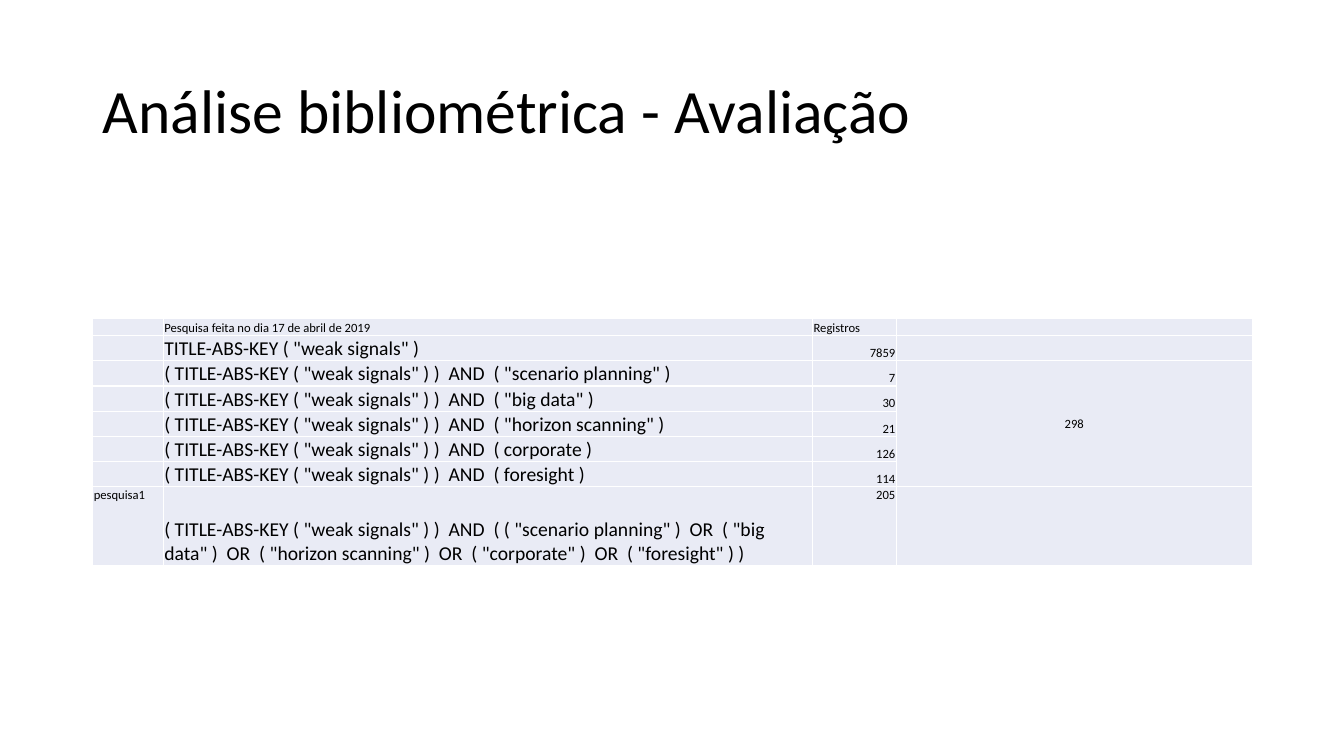
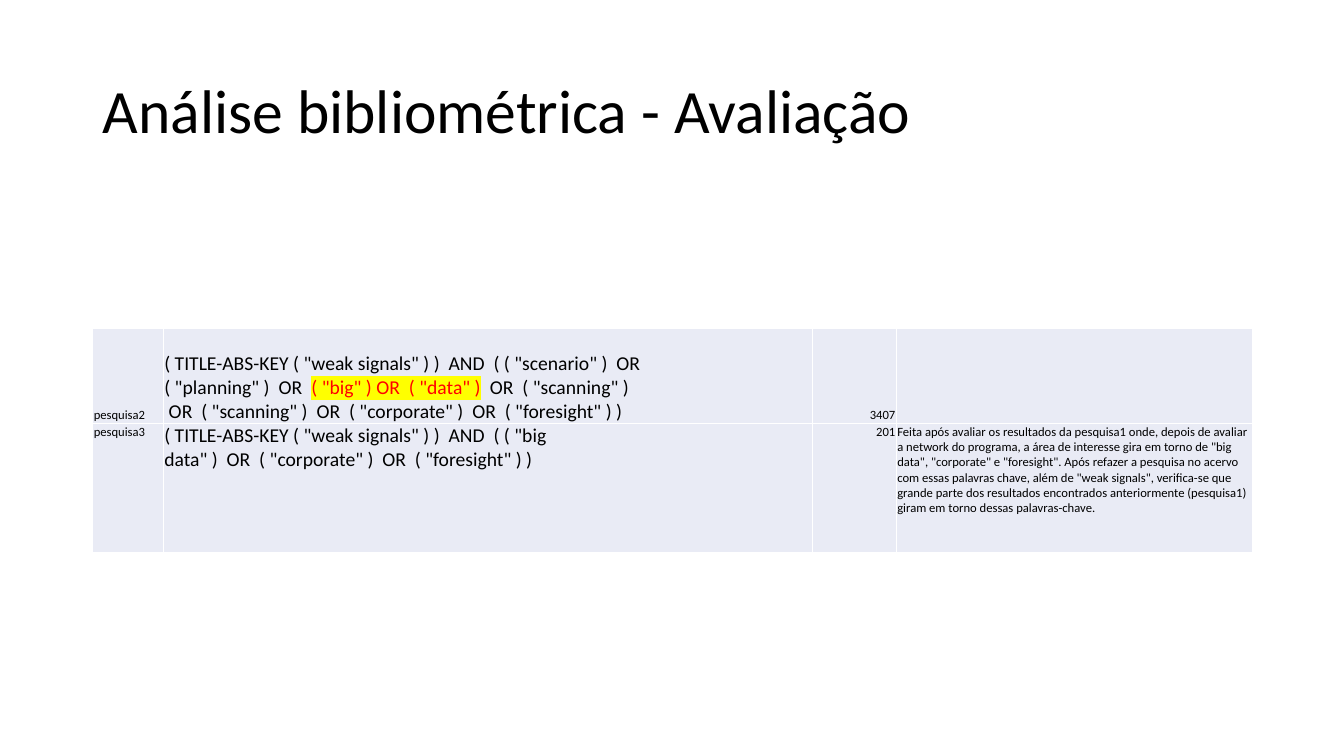
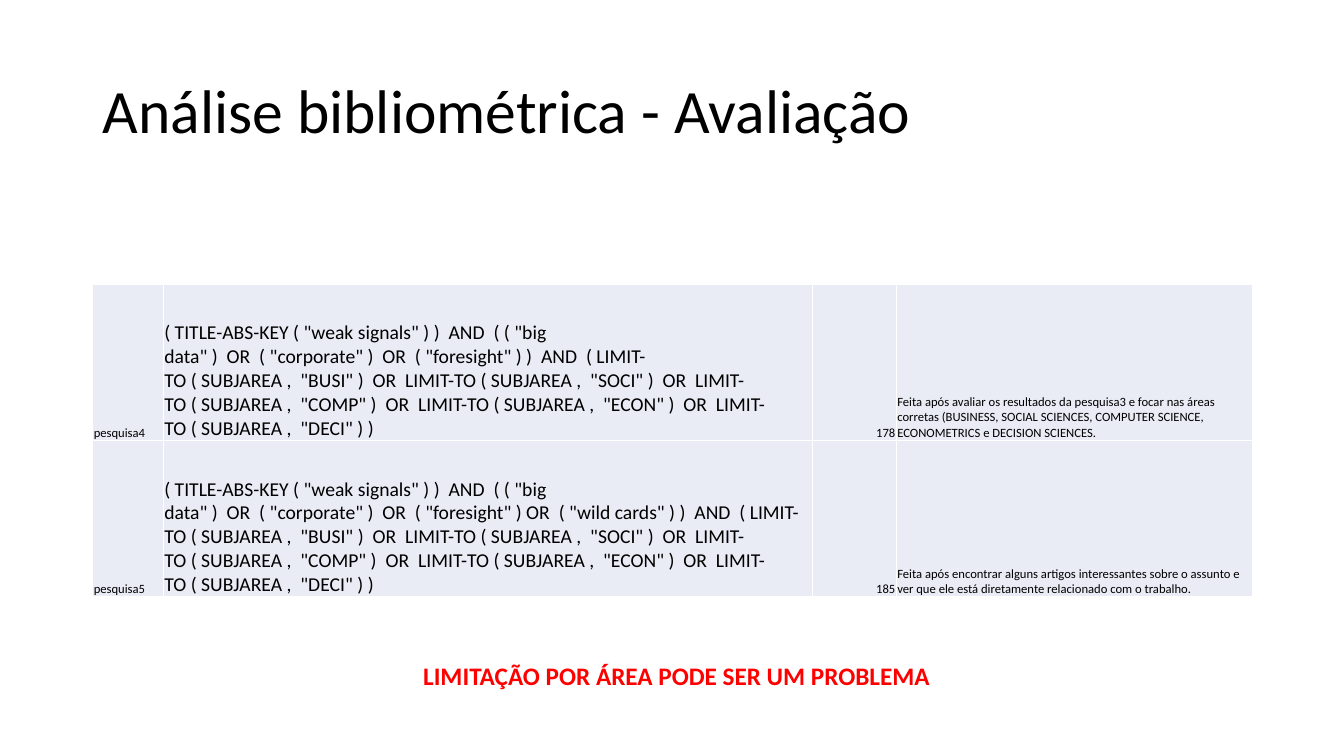
from dataclasses import dataclass

from lxml import etree
from pptx import Presentation
from pptx.dml.color import RGBColor
from pptx.enum import text
from pptx.oxml import ns
from pptx import util as u


# Theme: colours, type sizes and measures shared by every slide
@dataclass(frozen=True)
class Theme:
    font: str = "Calibri"
    ink: str = "000000"
    alert: str = "FF0000"
    marker: str = "FFFF00"
    cell: str = "E9EBF5"
    rule: str = "FFFFFF"
    title_size: int = 44
    warning_size: int = 18
    query_size: int = 14
    small_size: int = 9
    slide: tuple = (13.33, 7.5)
    title: tuple = (0.92, 0.4, 11.5, 1.45)
    warning: tuple = (4, 6.5, 5.42, 0.4)
    columns: tuple = (0.7, 6.44, 0.83, 3.53)
    inset: float = 0.01


THEME = Theme()
TOP, MIDDLE, BOTTOM = (text.MSO_ANCHOR.TOP, text.MSO_ANCHOR.MIDDLE,
                       text.MSO_ANCHOR.BOTTOM)
LEFT, CENTER, RIGHT = (text.PP_ALIGN.LEFT, text.PP_ALIGN.CENTER,
                       text.PP_ALIGN.RIGHT)


@dataclass
class Row:
    height: float
    label: str
    query: tuple            # spans of (text, style)
    count: str
    note: str = ""
    anchor: object = BOTTOM
    query_anchor: object = BOTTOM
    count_align: object = RIGHT


# Content: spaces in a query hold together, except within quotes and at "|"
TITLE = "Análise bibliométrica - Avaliação"
WARNING = "LIMITAÇÃO POR ÁREA PODE SER UM PROBLEMA"
BASE = '( TITLE-ABS-KEY ( "weak signals" ) )'
FOCUS = '( "big data" )  OR  ( "corporate" )  OR  ( "foresight" )'
AREAS = "  OR  ".join(f'LIMIT-TO ( SUBJAREA ,  "{area}" )'
                      for area in ("BUSI", "SOCI", "COMP", "ECON", "DECI"))
SINGLE_TERMS = (('"scenario planning"', "7"), ('"big data"', "30"),
                ('"horizon scanning"', "21"), ("corporate", "126"),
                ("foresight", "114"))


def query(words):
    return ((words, "query"),)


FIRST_ROWS = [
    Row(0.17, "", (("Pesquisa feita no dia 17 de abril de 2019", "small"),),
        "Registros", count_align=LEFT),
    Row(0.25, "", query('TITLE-ABS-KEY ( "weak signals" )'), "7859"),
    *(Row(0.25, "", query(f"{BASE}  AND  ( {term} )"), count)
      for term, count in SINGLE_TERMS),
    Row(0.78, "pesquisa1",
        query(f'{BASE}  AND  ( ( "scenario planning" )  OR  ( "big data" )'
              '  OR  ( "horizon scanning" )  OR  ( "corporate" )'
              '  OR  ( "foresight" ) )'), "205", anchor=TOP),
]
SECOND_ROWS = [
    Row(0.94, "pesquisa2", (
        (f'{BASE}  AND  ( ( "scenario" )  OR |( "planning" )  OR  ', "query"),
        ('( "big" )|OR  ( "data" )', "marked"),
        ('  OR  ( "scanning" )| OR  ( "scanning" )  OR  ( "corporate" )'
         '  OR  ( "foresight" ) )', "query")), "3407"),
    Row(1.28, "pesquisa3", query(f"{BASE}  AND  ( {FOCUS} )"), "201",
        "Feita após avaliar os resultados da pesquisa1 onde, depois de "
        "avaliar a network do programa, a área de interesse gira em torno de "
        '"big data", "corporate" e "foresight". Após refazer a pesquisa no '
        'acervo com essas palavras chave, além de "weak signals", verifica-se '
        "que grande parte dos resultados encontrados anteriormente "
        "(pesquisa1) giram em torno dessas palavras-chave.",
        anchor=TOP, query_anchor=TOP),
]
THIRD_ROWS = [
    Row(1.55, "pesquisa4", query(f"{BASE}  AND  ( {FOCUS} )  AND  ( {AREAS} )"),
        "178",
        "Feita após avaliar os resultados da pesquisa3 e focar nas áreas "
        "corretas (BUSINESS, SOCIAL SCIENCES, COMPUTER SCIENCE, ECONOMETRICS "
        "e DECISION SCIENCES."),
    Row(1.55, "pesquisa5",
        query(f'{BASE}  AND  ( {FOCUS}|OR  ( "wild cards" ) )'
              f"  AND  ( {AREAS} )"), "185",
        "Feita após encontrar alguns artigos interessantes sobre o assunto e "
        "ver que ele está diretamente relacionado com o trabalho."),
]


# Text helpers
def hold_spaces(words):
    parts = words.split('"')
    parts[::2] = [part.replace(" ", chr(160)).replace("|", " ")
                  for part in parts[::2]]
    return '"'.join(parts)


def add_span(para, words, size, color=THEME.ink, bold=False, highlight=None):
    span = para.add_run()
    span.text = words
    span.font.size, span.font.bold = u.Pt(size), bold
    span.font.color.rgb = RGBColor.from_string(color)
    if highlight:
        mark = etree.Element(ns.qn("a:highlight"))
        etree.SubElement(mark, ns.qn("a:srgbClr"), val=highlight)
        span.font._element.find(ns.qn("a:solidFill")).addnext(mark)
    span.font.name = THEME.font


def add_styled_span(para, words, style):
    if style == "small":
        add_span(para, words, THEME.small_size)
    elif style == "marked":
        add_span(para, hold_spaces(words), THEME.query_size, THEME.alert,
                 highlight=THEME.marker)
    else:
        add_span(para, hold_spaces(words), THEME.query_size)


# Table
def format_cell(cell):
    cell.margin_left = cell.margin_right = cell.margin_top = u.Inches(THEME.inset)
    cell.margin_bottom = 0
    properties = cell._tc.get_or_add_tcPr()
    for side in ("lnL", "lnR", "lnT", "lnB"):
        line = etree.SubElement(properties, ns.qn(f"a:{side}"),
                                w=str(u.Pt(1)))
        fill = etree.SubElement(line, ns.qn("a:solidFill"))
        etree.SubElement(fill, ns.qn("a:srgbClr"), val=THEME.rule)
    cell.fill.solid()
    cell.fill.fore_color.rgb = RGBColor.from_string(THEME.cell)


def fill_cell(cell, spans, anchor, align=LEFT):
    para = cell.text_frame.paragraphs[0]
    cell.vertical_anchor, para.alignment = anchor, align
    for words, style in spans:
        if words:
            add_styled_span(para, words, style)
    if not para.runs:       # an empty cell must not stretch its row
        etree.SubElement(para._p, ns.qn("a:endParaRPr"),
                         sz=str(THEME.small_size * 100))


def add_search_table(page, top, rows):
    frame = page.shapes.add_table(
        len(rows), len(THEME.columns), u.Inches(THEME.title[0]), u.Inches(top),
        u.Inches(sum(THEME.columns)), u.Inches(sum(row.height for row in rows)))
    table = frame.table
    table.first_row = table.horz_banding = False
    for column, width in zip(table.columns, THEME.columns):
        column.width = u.Inches(width)
    for index, row in enumerate(rows):
        table.rows[index].height = u.Inches(row.height)
        cells = table.rows[index].cells
        for cell in cells:
            format_cell(cell)
        label, search, count, note = cells
        fill_cell(label, [(row.label, "small")], row.anchor)
        fill_cell(search, row.query, row.query_anchor)
        fill_cell(count, [(row.count, "small")], row.anchor, row.count_align)
        fill_cell(note, [(row.note, "small")], row.anchor)
    return table


# Slides
def add_page(deck):
    page = deck.slides.add_slide(deck.slide_layouts[5])
    box = page.shapes.title
    box.left, box.top, box.width, box.height = map(u.Inches, THEME.title)
    box.text_frame.vertical_anchor = MIDDLE
    para = box.text_frame.paragraphs[0]
    para.alignment, para.line_spacing = LEFT, 0.9
    add_span(para, TITLE, THEME.title_size)
    return page


def add_warning(page):
    box = page.shapes.add_textbox(*map(u.Inches, THEME.warning))
    box.text_frame.word_wrap = True
    box.text_frame.auto_size = text.MSO_AUTO_SIZE.SHAPE_TO_FIT_TEXT
    para = box.text_frame.paragraphs[0]
    para.alignment = CENTER
    add_span(para, WARNING, THEME.warning_size, THEME.alert, bold=True)


def main():
    deck = Presentation()
    deck.slide_width, deck.slide_height = map(u.Inches, THEME.slide)

    # Single-term searches, with their total in one merged cell
    table = add_search_table(add_page(deck), 3.16, FIRST_ROWS)
    total = table.cell(2, 3)
    total.merge(table.cell(1 + len(SINGLE_TERMS), 3))
    fill_cell(total, [("298", "small")], MIDDLE, CENTER)
    for end in total._tc.findall(".//" + ns.qn("a:endParaRPr")):
        end.getparent().append(end)     # the end mark follows the runs

    # Broader and narrower searches
    add_search_table(add_page(deck), 3.26, SECOND_ROWS)

    # Searches limited by subject area
    page = add_page(deck)
    add_search_table(page, 2.82, THIRD_ROWS)
    add_warning(page)

    deck.save("out.pptx")


if __name__ == "__main__":
    main()
